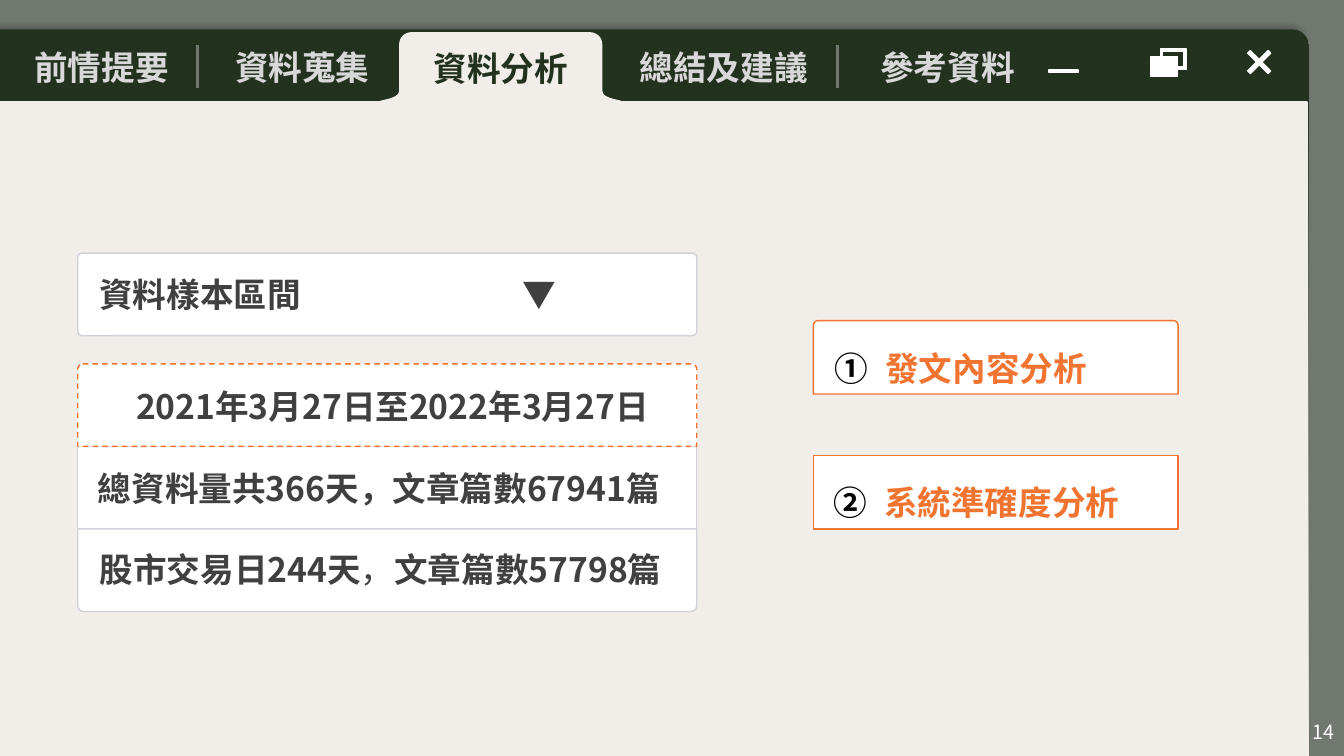
from lxml.etree import SubElement
from pptx import Presentation
from pptx.dml.color import RGBColor
from pptx.enum.dml import MSO_LINE_DASH_STYLE as Dash
from pptx.enum.shapes import MSO_CONNECTOR as Connector, MSO_SHAPE as Shape
from pptx.enum.text import MSO_ANCHOR as Anchor, PP_ALIGN as Align
from pptx.oxml.ns import qn
from pptx.util import Cm, Pt

BACKDROP = RGBColor(0x71, 0x78, 0x70)
DARK_GREEN = RGBColor(0x23, 0x32, 0x1F)
CREAM = RGBColor(0xF1, 0xEE, 0xE9)
WHITE = RGBColor(0xFF, 0xFF, 0xFF)
TAB_GREY = RGBColor(0xD8, 0xD8, 0xD8)
BORDER_GREY = RGBColor(0xD0, 0xD0, 0xD8)
TEXT_GREY = RGBColor(0x40, 0x40, 0x40)
ORANGE = RGBColor(0xF2, 0x74, 0x31)

TAB_FONT = "Noto Sans CJK TC"
BODY_FONT = "Noto Sans CJK SC"
PAGE_FONT = "Noto Sans CJK KR"


def bezier(start, control1, control2, end, steps=8):
    points = []
    for step in range(steps + 1):
        t = step / steps
        weights = ((1 - t) ** 3, 3 * t * (1 - t) ** 2, 3 * t * t * (1 - t), t ** 3)
        corners = (start, control1, control2, end)
        points.append(tuple(sum(w * c[axis] for w, c in zip(weights, corners))
                            for axis in (0, 1)))
    return points


class BrowserSlide:
    def __init__(self, presentation):
        self.slide = presentation.slides.add_slide(presentation.slide_layouts[6])
        self.shapes = self.slide.shapes
        background = self.slide.background.fill
        background.solid()
        background.fore_color.rgb = BACKDROP

    def paint(self, shape, fill, line=None, width=1):
        shape.shadow.inherit = False
        shape.fill.solid()
        shape.fill.fore_color.rgb = fill
        if line is None:
            shape.line.fill.background()
        else:
            shape.line.color.rgb = line
            shape.line.width = Pt(width)

    def block(self, kind, left, top, width, height, fill, line=None, weight=1, adjust=()):
        shape = self.shapes.add_shape(kind, Cm(left), Cm(top), Cm(width), Cm(height))
        for index, value in enumerate(adjust):
            shape.adjustments[index] = value
        self.paint(shape, fill, line, weight)
        return shape

    def set_text(self, shape, text, color, font=BODY_FONT, size=24, bold=True,
                 align=Align.LEFT, inset=0.25):
        frame = shape.text_frame
        frame.word_wrap = True
        frame.vertical_anchor = Anchor.MIDDLE
        frame.margin_left = Cm(inset)
        paragraph = frame.paragraphs[0]
        paragraph.text = text
        paragraph.alignment = align
        paragraph.font.name = font
        paragraph.font.size = Pt(size)
        paragraph.font.bold = bold
        paragraph.font.color.rgb = color
        defaults = paragraph._p.pPr.find(qn("a:defRPr"))
        SubElement(defaults, qn("a:ea"), typeface=font)
        return paragraph

    def label(self, text, left, top, width, height, color, **style):
        box = self.shapes.add_textbox(Cm(left), Cm(top), Cm(width), Cm(height))
        self.set_text(box, text, color, **style)

    def window(self):
        header = self.block(Shape.ROUND_1_RECTANGLE, 0, 0.74, 32.99, 18.31,
                            DARK_GREEN, adjust=[0.023])
        header.fill.gradient()
        header.fill.gradient_angle = 270
        for stop, color, position in zip(header.fill.gradient_stops,
                                         (DARK_GREEN, CREAM), (0.1, 1)):
            stop.color.rgb = color
            stop.position = position
        effects = header._element.spPr.find(qn("a:effectLst"))
        shadow = SubElement(effects, qn("a:outerShdw"), blurRad=str(Pt(4)),
                            dist=str(Pt(3)), dir="13500000", algn="br", rotWithShape="0")
        shade = SubElement(shadow, qn("a:srgbClr"), val="000000")
        SubElement(shade, qn("a:alpha"), val="20000")
        self.block(Shape.RECTANGLE, 0, 2.57, 32.94, 16.48, CREAM, CREAM, 2)

    def window_buttons(self):
        for kind, left, top, width, height, adjust in (
                (Shape.MATH_MULTIPLY, 31.24, 1.07, 0.99, 0.99, [0.092]),
                (Shape.FRAME, 29.24, 1.24, 0.66, 0.51, [0.125]),
                (Shape.RECTANGLE, 29.01, 1.42, 0.66, 0.51, []),
                (Shape.MATH_MINUS, 26.31, 1.65, 0.99, 0.3, [0.235])):
            self.block(kind, left, top, width, height, WHITE, WHITE, adjust=adjust)

    def active_tab(self, text):
        center = 12.62
        right = (bezier((14.86, 0.81), (15.04, 0.81), (15.18, 0.94), (15.18, 1.12))
                 + bezier((15.18, 2.29), (15.18, 2.51), (15.74, 2.51), (15.68, 2.57))
                 + bezier((15.68, 2.57), (15.63, 2.62), (15.6, 2.59), (14.86, 2.59)))
        left = [(2 * center - x, y) for x, y in reversed(right)]
        outline = [(Cm(x), Cm(y)) for x, y in right + left]
        builder = self.shapes.build_freeform(*outline[0])
        builder.add_line_segments(outline[1:], close=True)
        tab = builder.convert_to_shape()
        self.paint(tab, CREAM)
        self.set_text(tab, text, DARK_GREEN, TAB_FONT, align=Align.CENTER)

    def separator(self, x):
        line = self.shapes.add_connector(Connector.STRAIGHT, Cm(x), Cm(1.14), Cm(x), Cm(2.21))
        line.line.color.rgb = BACKDROP
        line.line.width = Pt(2)
        SubElement(line._element.spPr, qn("a:effectLst"))

    def card(self, text, kind, left, top, width, height, line, adjust,
             color=TEXT_GREY, align=Align.LEFT):
        shape = self.block(kind, left, top, width, height, WHITE, line, adjust=adjust)
        return shape, self.set_text(shape, text, color, align=align, inset=0.51)

    def numbered_card(self, number, text, top, corner):
        _, paragraph = self.card(text, Shape.ROUND_2_SAME_RECTANGLE, 20.5, top, 9.19, 1.85,
                                 ORANGE, [corner, 0], ORANGE)
        properties = paragraph._p.pPr
        properties.set("marL", str(Cm(1.27)))
        properties.set("indent", str(-Cm(1.27)))
        defaults = properties.find(qn("a:defRPr"))
        properties.remove(defaults)
        bullet_color = SubElement(properties, qn("a:buClr"))
        SubElement(bullet_color, qn("a:srgbClr"), val="000000")
        SubElement(properties, qn("a:buAutoNum"), type="circleNumWdWhitePlain",
                   startAt=str(number))
        properties.append(defaults)
        paragraph.line_spacing = 1.5

    def dropdown(self, text, left, top, width, height):
        _, paragraph = self.card(text, Shape.ROUNDED_RECTANGLE, left, top, width, height,
                                 BORDER_GREY, [0.055])
        properties = paragraph._p.pPr
        defaults = properties.find(qn("a:defRPr"))
        properties.remove(defaults)
        tabs = SubElement(properties, qn("a:tabLst"))
        SubElement(tabs, qn("a:tab"), pos=str(Cm(10.67)), algn="l")
        properties.append(defaults)


def main():
    presentation = Presentation()
    presentation.slide_width = Cm(33.87)
    presentation.slide_height = Cm(19.05)
    page = BrowserSlide(presentation)

    page.window()
    page.window_buttons()
    page.active_tab("資料分析")
    for x in (4.98, 21.11):
        page.separator(x)
    for text, center in (("前情提要", 2.56), ("資料蒐集", 7.62),
                         ("總結及建議", 18.24), ("參考資料", 23.88)):
        page.label(text, center - 2.5, 0.8, 5, 1.78, TAB_GREY,
                   font=TAB_FONT, align=Align.CENTER)
    page.label("14", 26.27, 17.93, 7.6, 1.02, WHITE, font=PAGE_FONT,
               size=14, bold=False, align=Align.RIGHT)

    left, width, row = 1.96, 15.6, 2.08
    period_top = 9.17
    page.dropdown("資料樣本區間\t▼", left, 6.38, width, row)
    page.card("總資料量共366天，文章篇數67941篇", Shape.ROUND_2_SAME_RECTANGLE,
              left, period_top + row, width, row, BORDER_GREY, [0, 0])
    _, trading_days = page.card("股市交易日244天", Shape.ROUND_2_SAME_RECTANGLE,
                                left, period_top + 2 * row, width, row,
                                BORDER_GREY, [0, 0.071])
    comma = trading_days.add_run()
    comma.text = "，"
    comma.font.bold = False
    trading_days.add_run().text = "文章篇數57798篇"
    period, _ = page.card("2021年3月27日至2022年3月27日", Shape.ROUND_2_SAME_RECTANGLE,
                          left, period_top, width, row, ORANGE, [0.061, 0],
                          align=Align.CENTER)
    period.line.dash_style = Dash.DASH

    page.numbered_card(1, "發文內容分析", 8.08, 0.061)
    page.numbered_card(2, "系統準確度分析", 11.48, 0)
    presentation.save("out.pptx")


if __name__ == "__main__":
    main()
